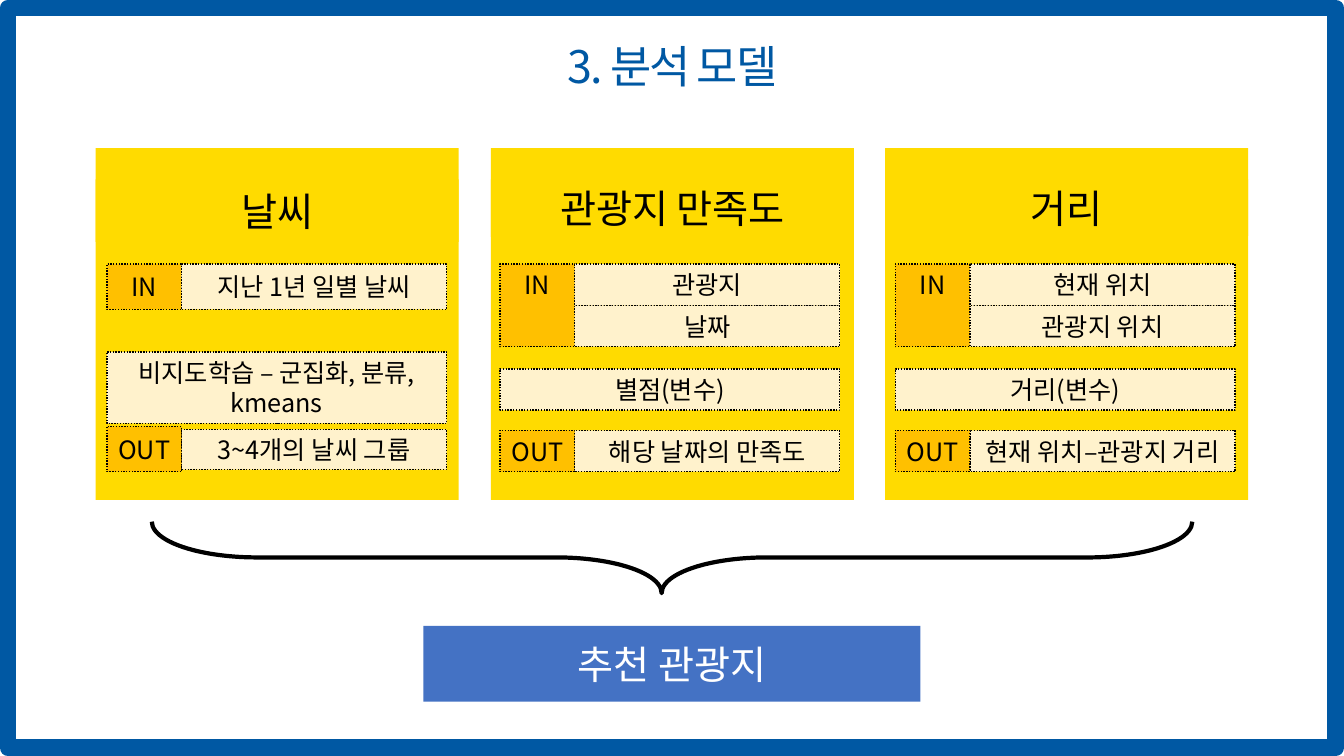
"""Builds the analysis model slide: three input/output cards leading to one recommendation."""
from lxml import etree
from pptx import Presentation, util as u
from pptx.dml.color import RGBColor
from pptx.enum import dml, shapes, text
from pptx.oxml.ns import qn

PX = 9144
FONT = "Noto Sans CJK KR"
BLUE, YELLOW, AMBER, CREAM = "0058A3", "FFDB00", "FFC000", "FFF2CC"
BLACK, WHITE, STEEL = "000000", "FFFFFF", "4472C4"


def color(value):
    return RGBColor.from_string(value)


def add_box(box, fill=None, lines=(), size=18, ink=BLACK, dotted=False, top=False):
    shape = slide.shapes.add_shape(shapes.MSO_SHAPE.RECTANGLE, *(n * PX for n in box))
    shape.shadow.inherit = False
    if fill:
        shape.fill.solid()
        shape.fill.fore_color.rgb = color(fill)
    else:
        shape.fill.background()
    if dotted:
        shape.line.color.rgb = color(BLACK)
        shape.line.width = u.Pt(1)
        shape.line.dash_style = dml.MSO_LINE.ROUND_DOT
    else:
        shape.line.fill.background()
    frame = shape.text_frame
    frame.word_wrap = True
    frame.vertical_anchor = text.MSO_ANCHOR.TOP if top else text.MSO_ANCHOR.MIDDLE
    for number, line in enumerate(lines):
        paragraph = frame.add_paragraph() if number else frame.paragraphs[0]
        paragraph.alignment = text.PP_ALIGN.CENTER
        run = paragraph.add_run()
        run.text = line
        run.font.size = u.Pt(size)
        run.font.color.rgb = color(ink)
        run.font.name = FONT
        etree.SubElement(run.font._element, qn("a:ea"), typeface=FONT)
    return shape


presentation = Presentation()
presentation.slide_width = 1333 * PX
presentation.slide_height = 750 * PX
slide = presentation.slides.add_slide(presentation.slide_layouts[6])

border = add_box((8, 8, 1317, 734))
border.line.color.rgb = color(BLUE)
border.line.width = u.Pt(12)

title = add_box((92, 39, 1150, 59), lines=["3. 분석 모델"], size=32, ink=BLUE)
title_paragraph = title.text_frame.paragraphs[0]
title_paragraph.line_spacing = 0.9
title_paragraph.runs[0].font._element.set("spc", "-150")

TAG_WIDTH, VALUE_WIDTH = 74, 263
cards = [
    (95, 11, "날씨", 62, ["지난 1년 일별 날씨"], 45,
     ["비지도학습 – 군집화, 분류,", "kmeans"], (349, 71),
     "3~4개의 날씨 그룹", (426, 40), (423, 45)),
    (487, 9, "관광지 만족도", 57, ["관광지", "날짜"], 41,
     ["별점(변수)"], (366, 41),
     "해당 날짜의 만족도", (427, 41), (427, 41)),
    (878, 10, "거리", 56, ["현재 위치", "관광지 위치"], 41,
     ["거리(변수)"], (366, 41),
     "현재 위치–관광지 거리", (427, 41), (427, 41)),
]
for (left, inset, heading, heading_height, inputs, row_height,
     method, method_span, output, output_span, tag_span) in cards:
    tag_left = left + inset
    value_left = tag_left + TAG_WIDTH
    add_box((left, 147, 360, 349), YELLOW)
    add_box((left, 178, 360, heading_height), YELLOW, [heading], size=28)
    add_box((tag_left, method_span[0], TAG_WIDTH + VALUE_WIDTH, method_span[1]),
            CREAM, method, dotted=True)
    add_box((value_left, output_span[0], VALUE_WIDTH, output_span[1]),
            CREAM, [output], dotted=True)
    add_box((tag_left, tag_span[0], TAG_WIDTH, tag_span[1]), AMBER, ["OUT"], dotted=True)
    add_box((tag_left, 262, TAG_WIDTH, row_height * len(inputs)),
            AMBER, ["IN"], dotted=True, top=len(inputs) > 1)
    for row, value in enumerate(inputs):
        add_box((value_left, 262 + row * row_height, VALUE_WIDTH, row_height),
                CREAM, [value], dotted=True)

add_box((420, 621, 493, 75), STEEL, ["추천 관광지"], size=28, ink=WHITE)

brace = slide.shapes.add_shape(
    shapes.MSO_SHAPE.RIGHT_BRACE, 631 * PX, 37 * PX, 71 * PX, 1032 * PX)
brace.rotation = 90
brace.adjustments[0] = 1.47
brace.adjustments[1] = 0.51
brace.shadow.inherit = False
brace.fill.background()
brace.line.color.rgb = color(BLACK)
brace.line.width = u.Pt(3)

presentation.save("out.pptx")
